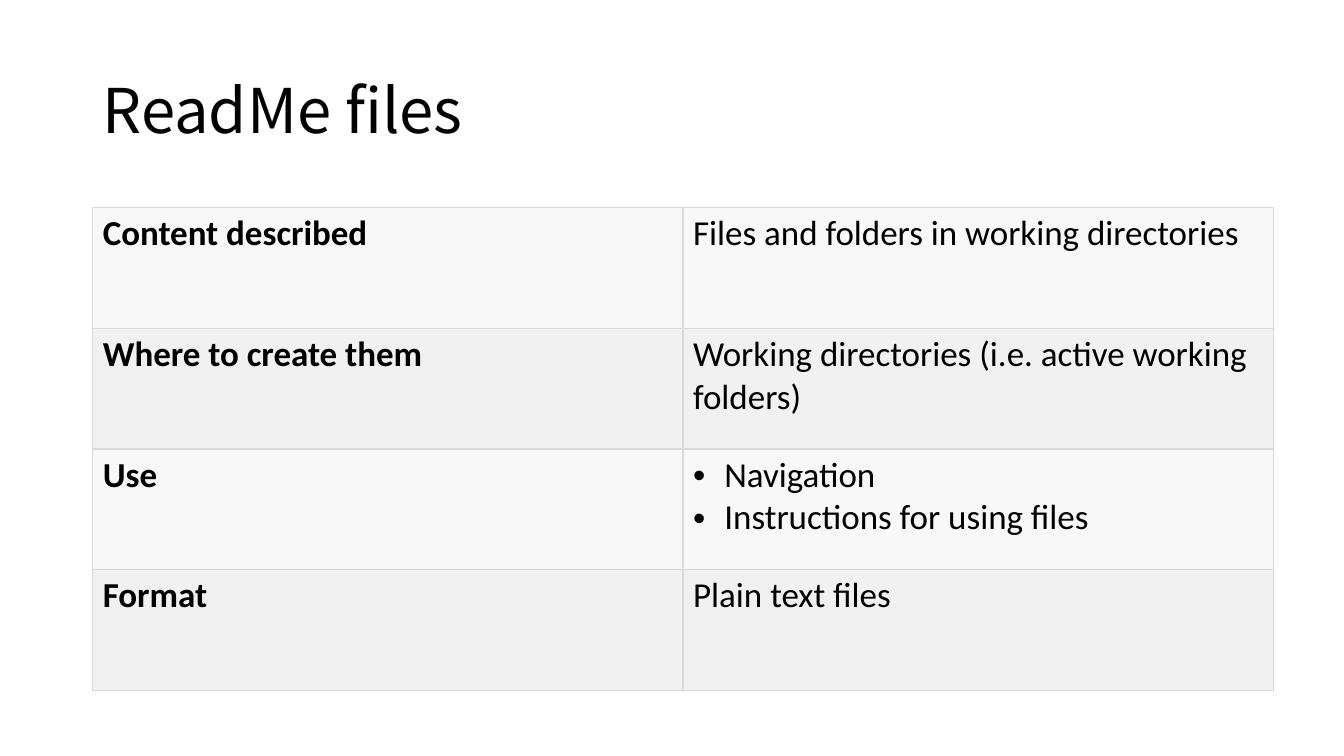
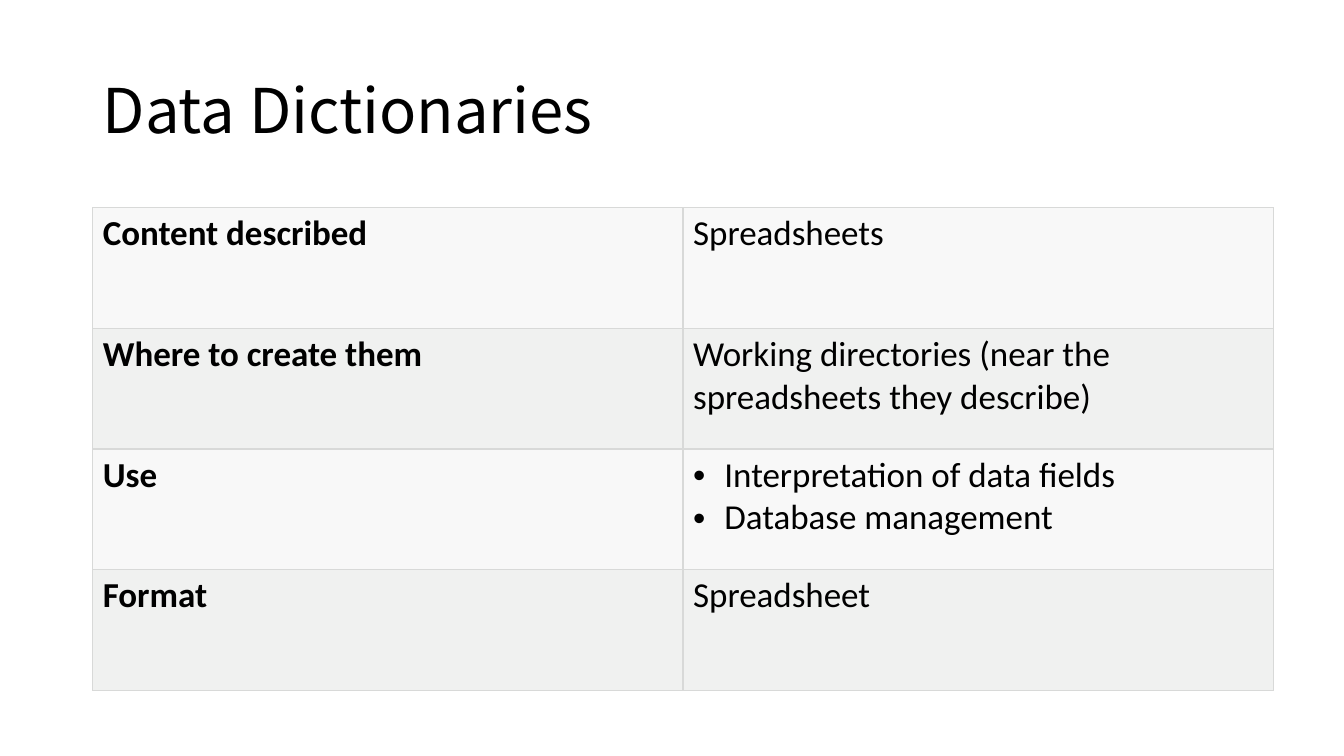
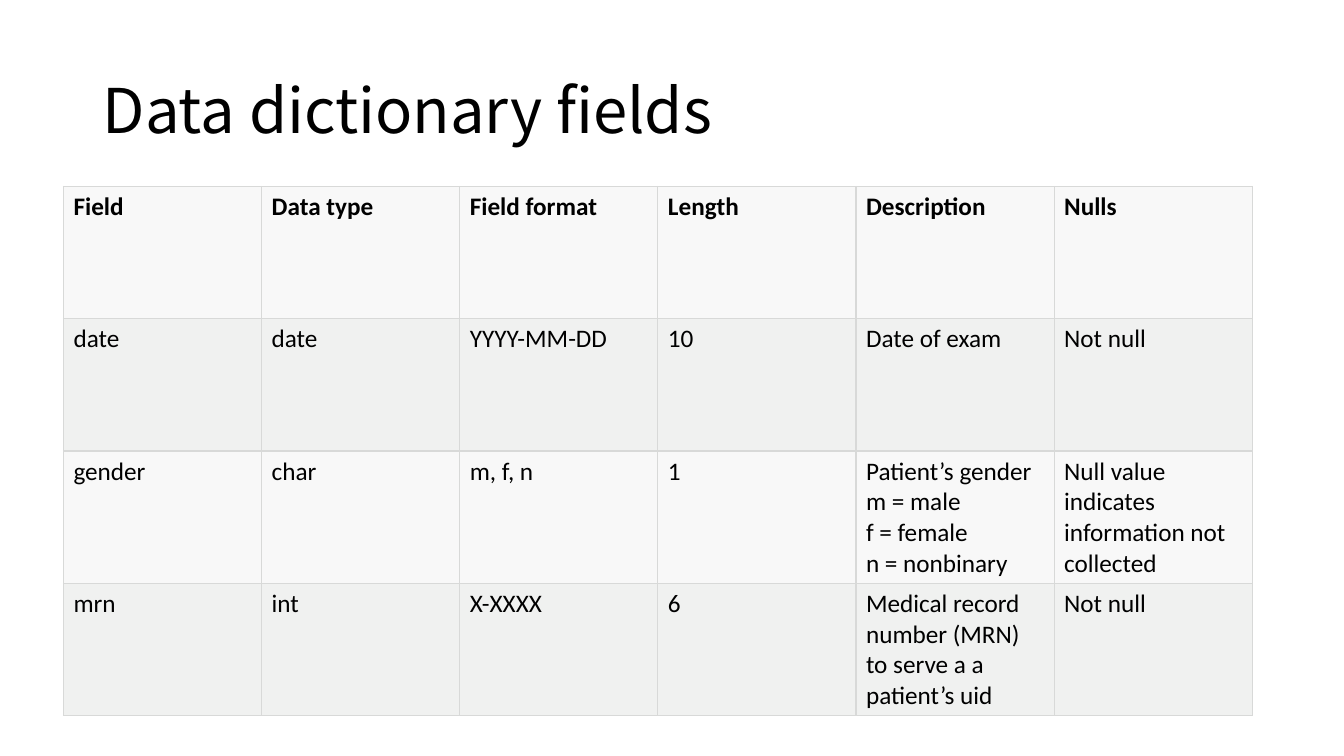
"""Build three slides on ReadMe files and data dictionaries, each a title above a table."""
from lxml import etree
from pptx import Presentation
from pptx.dml.color import RGBColor
from pptx.enum.text import MSO_ANCHOR
from pptx.oxml.ns import qn
from pptx.util import Inches, Pt

WIDTH, HEIGHT = 13.33, 7.5
TITLE_FONT, BODY_FONT = "Noto Sans CJK KR", "Calibri"
TEXT, BORDER = "000000", "D8D9D8"
BANDS = ("F8F8F8", "F0F1F0")
TITLE_AREA = (0.92, 0.4, 11.5, 1.45)
SUMMARY_AREA = (0.92, 2.06, 11.71, 4.79)
FIELDS_AREA = (0.63, 1.85, 11.79, 5.25)
BULLET_INDENT = 0.31
SUMMARY_LABELS = ("Content described", "Where to create them", "Use", "Format")


def summary(title, *answers):
    return {
        "title": title,
        "area": SUMMARY_AREA,
        "size": 25,
        "rows": list(zip(SUMMARY_LABELS, answers)),
        "is_bold": lambda row, column: column == 0,
        "bulleted": True,
    }


SLIDES = [
    summary(
        "ReadMe files",
        "Files and folders in working directories",
        "Working directories (i.e. active working folders)",
        ["Navigation", "Instructions for using files"],
        "Plain text files",
    ),
    summary(
        "Data Dictionaries",
        "Spreadsheets",
        "Working directories (near the spreadsheets they describe)",
        ["Interpretation of data fields", "Database management"],
        "Spreadsheet",
    ),
    {
        "title": "Data dictionary fields",
        "area": FIELDS_AREA,
        "size": 18,
        "rows": [
            ("Field", "Data type", "Field format", "Length", "Description", "Nulls"),
            ("date", "date", "YYYY-MM-DD", "10", "Date of exam", "Not null"),
            ("gender", "char", "m, f, n", "1",
             ["Patient’s gender", "m = male", "f = female", "n = nonbinary"],
             "Null value indicates information not collected"),
            ("mrn", "int", "X-XXXX", "6",
             "Medical record number (MRN) to serve a a patient’s uid", "Not null"),
        ],
        "is_bold": lambda row, column: row == 0,
        "bulleted": False,
    },
]


def color(value):
    return RGBColor.from_string(value)


def add_span(para, text, font, size, bold=False):
    span = para.add_run()
    span.text = text
    span.font.name = font
    span.font.size = Pt(size)
    span.font.bold = bold
    span.font.color.rgb = color(TEXT)


def add_bullet(para):
    properties = para._p.get_or_add_pPr()
    properties.set("marL", str(Inches(BULLET_INDENT)))
    properties.set("indent", str(-Inches(BULLET_INDENT)))
    etree.SubElement(properties, qn("a:buFont")).set("typeface", "Arial")
    etree.SubElement(properties, qn("a:buChar")).set("char", "•")


def style_cell(cell, fill):
    properties = cell._tc.get_or_add_tcPr()
    for side in ("a:lnL", "a:lnR", "a:lnT", "a:lnB"):
        line = etree.SubElement(properties, qn(side), w=str(Pt(1)))
        solid = etree.SubElement(line, qn("a:solidFill"))
        etree.SubElement(solid, qn("a:srgbClr"), val=BORDER)
    cell.fill.solid()
    cell.fill.fore_color.rgb = color(fill)


def add_title(page, text):
    box = page.shapes.add_textbox(*map(Inches, TITLE_AREA))
    frame = box.text_frame
    frame.word_wrap = True
    frame.vertical_anchor = MSO_ANCHOR.MIDDLE
    para = frame.paragraphs[0]
    para.line_spacing = 0.9
    add_span(para, text, TITLE_FONT, 44)


def fill_cell(cell, content, size, bold, bulleted):
    is_list = isinstance(content, list)
    frame = cell.text_frame
    for index, text in enumerate(content if is_list else [content]):
        para = frame.add_paragraph() if index else frame.paragraphs[0]
        if is_list and bulleted:
            add_bullet(para)
        add_span(para, text, BODY_FONT, size, bold)


def add_grid(page, content):
    rows = content["rows"]
    area = map(Inches, content["area"])
    table = page.shapes.add_table(len(rows), len(rows[0]), *area).table
    for row, values in enumerate(rows):
        for column, value in enumerate(values):
            cell = table.cell(row, column)
            style_cell(cell, BANDS[row % 2])
            bold = content["is_bold"](row, column)
            fill_cell(cell, value, content["size"], bold, content["bulleted"])


def main():
    deck = Presentation()
    deck.slide_width, deck.slide_height = Inches(WIDTH), Inches(HEIGHT)
    for content in SLIDES:
        page = deck.slides.add_slide(deck.slide_layouts[6])
        add_title(page, content["title"])
        add_grid(page, content)
    deck.save("out.pptx")


if __name__ == "__main__":
    main()
